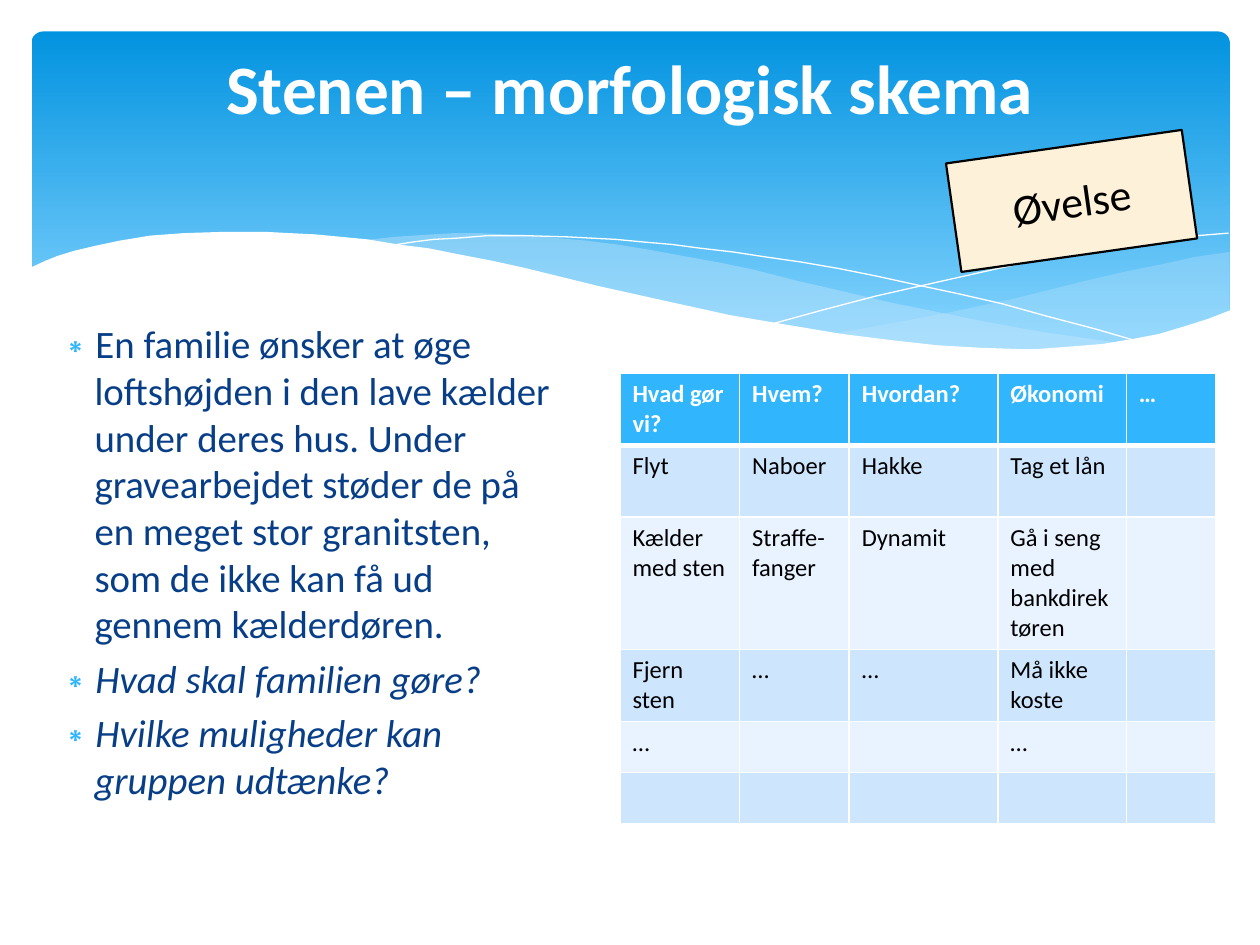
from dataclasses import dataclass

from lxml.etree import SubElement
from pptx import Presentation
from pptx.dml.color import RGBColor
from pptx.enum.shapes import MSO_SHAPE
from pptx.enum.text import MSO_ANCHOR, MSO_AUTO_SIZE, PP_ALIGN
from pptx.oxml.ns import qn
from pptx.util import Inches, Pt


@dataclass(frozen=True)
class Theme:
    font: str = "Calibri"
    white: str = "FFFFFF"
    black: str = "000000"
    navy: str = "073E87"
    accent: str = "31B6FD"
    sky_top: str = "0293E0"
    sky_bottom: str = "83D3FE"
    wave: str = "C6E7FC"
    cream: str = "FDF2D9"
    bands: tuple = ("CEE5FE", "E8F3FF")
    title_size: float = 39.6
    body_size: float = 22.2
    table_size: float = 14
    badge_size: float = 25


RIGHT_WAVE = [
    (9.75, 2), (9.48, 2.04), (9.21, 2.1), (8.91, 2.16), (8.61, 2.23), (8.05, 2.37),
    (7.53, 2.48), (7.06, 2.57), (6.61, 2.65), (6.91, 2.69), (7.19, 2.72), (7.45, 2.75),
    (7.69, 2.77), (8.03, 2.78), (8.35, 2.77), (8.63, 2.75), (8.89, 2.72), (9.13, 2.67),
    (9.35, 2.62), (9.49, 2.57), (9.63, 2.52), (9.76, 2.47), (9.76, 2),
]
MIDDLE_WAVE = [
    (8.93, 2.73), (8.66, 2.69), (8.37, 2.65), (8.07, 2.6), (7.75, 2.54), (7.41, 2.47),
    (7.06, 2.4), (6.68, 2.31), (6.29, 2.22), (5.98, 2.14), (5.69, 2.08), (5.41, 2.03),
    (5.14, 1.98), (4.89, 1.94), (4.65, 1.91), (4.42, 1.89), (4.2, 1.87), (3.99, 1.86),
    (3.8, 1.85), (3.61, 1.85), (3.44, 1.86), (3.13, 1.88), (2.86, 1.91), (3.23, 1.96),
    (3.62, 2.03), (4.04, 2.11), (4.49, 2.22), (4.91, 2.32), (5.3, 2.4), (5.66, 2.48),
    (6.01, 2.55), (6.34, 2.61), (6.65, 2.66), (6.95, 2.7), (7.22, 2.74), (7.48, 2.76),
    (7.73, 2.77), (7.96, 2.78), (8.28, 2.78), (8.57, 2.77), (8.76, 2.75),
]
FALLING_LINE = [
    (3.09, 1.95), (3.28, 1.92), (3.44, 1.9), (3.63, 1.89), (3.87, 1.87), (4.16, 1.87),
    (4.5, 1.88), (4.89, 1.9), (5.1, 1.92), (5.33, 1.94), (5.56, 1.97), (5.82, 2),
    (6.08, 2.04), (6.36, 2.08), (6.65, 2.13), (6.95, 2.19), (7.27, 2.26), (7.6, 2.33),
    (7.95, 2.41), (8.31, 2.51), (8.69, 2.61), (9.07, 2.72),
]
RISING_LINE = [
    (6.13, 2.57), (6.53, 2.46), (6.95, 2.35), (7.48, 2.23), (8.06, 2.1), (8.36, 2.04),
    (8.66, 1.99), (8.95, 1.94), (9.24, 1.9), (9.51, 1.87), (9.75, 1.85),
]
FRONT_WAVE = [
    (9.77, 2.46), (9.59, 2.53), (9.4, 2.59), (9.2, 2.65), (8.99, 2.69), (8.75, 2.73),
    (8.5, 2.75), (8.23, 2.77), (8.09, 2.77), (7.78, 2.76), (7.44, 2.74), (7.08, 2.7),
    (6.68, 2.65), (6.26, 2.58), (5.79, 2.5), (5.29, 2.39), (4.75, 2.27), (4.18, 2.13),
    (3.91, 2.07), (3.65, 2.02), (3.4, 1.97), (3.16, 1.94), (2.92, 1.9), (2.71, 1.88),
    (2.5, 1.86), (2.3, 1.85), (2.11, 1.84), (1.77, 1.84), (1.46, 1.85), (1.19, 1.87),
    (0.95, 1.91), (0.76, 1.95), (0.59, 1.99), (0.46, 2.03), (0.36, 2.07), (0.23, 2.13),
    (0.23, 3.29), (9.77, 3.29),
]

COLUMN_WIDTHS = [0.95, 0.87, 1.18, 1.02, 0.71]
ROW_HEIGHTS = [0.57, 0.57, 1.05, 0.57, 0.4, 0.4]
SCHEME = [
    ["Hvad gør vi?", "Hvem?", "Hvordan?", "Økonomi", "…"],
    ["Flyt", "Naboer", "Hakke", "Tag et lån", ""],
    ["Kælder med sten", "Straffe-fanger", "Dynamit", "Gå i seng med bankdirektøren", ""],
    ["Fjern sten", "…", "…", "Må ikke koste", ""],
    ["…", "", "", "…", ""],
    [""] * 5,
]
BULLETS = [
    ("En familie ønsker at øge loftshøjden i den lave kælder under deres hus. "
     "Under gravearbejdet støder de på en meget stor granitsten, som de ikke kan få ud "
     "gennem kælderdøren.", False),
    ("Hvad skal familien gøre?", True),
    ("Hvilke muligheder kan gruppen udtænke?", True),
]


def color(value):
    return RGBColor.from_string(value)


class SlideBuilder:
    def __init__(self, page, theme):
        self.page = page
        self.theme = theme

    def span(self, para, text, size, shade, bold=False, italic=False):
        span = para.add_run()
        span.text = text
        font = span.font
        font.name, font.size = self.theme.font, Pt(size)
        font.bold, font.italic = bold, italic
        font.color.rgb = color(shade)

    def sky(self, left, top, width, height):
        box = self.page.shapes.add_shape(
            MSO_SHAPE.ROUNDED_RECTANGLE, Inches(left), Inches(top), Inches(width), Inches(height))
        box.adjustments[0] = 0.034
        box.shadow.inherit = False
        box.line.fill.background()
        box.fill.gradient()
        box.fill.gradient_angle = 270
        shades = [(0, self.theme.sky_top), (0.9, self.theme.sky_bottom)]
        for stop, (position, shade) in zip(box.fill.gradient_stops, shades):
            stop.position = position
            stop.color.rgb = color(shade)

    def outline(self, points, closed):
        start, *rest = [(round(x * 100), round(y * 100)) for x, y in points]
        builder = self.page.shapes.build_freeform(*start, scale=Inches(0.01))
        builder.add_line_segments(rest, close=closed)
        shape = builder.convert_to_shape()
        shape.shadow.inherit = False
        return shape

    def wave(self, points, shade, opacity=100):
        shape = self.outline(points, True)
        shape.line.fill.background()
        shape.fill.solid()
        shape.fill.fore_color.rgb = color(shade)
        if opacity < 100:
            solid = shape.element.spPr.find(qn("a:solidFill"))
            SubElement(solid[0], qn("a:alpha"), val=str(opacity * 1000))

    def hairline(self, points):
        shape = self.outline(points, False)
        shape.fill.background()
        shape.line.color.rgb = color(self.theme.white)
        shape.line.width = Pt(0)

    def place(self, box, left, top, width, height, anchor):
        """Move a placeholder into position and in front of the backdrop."""
        box.left, box.top = Inches(left), Inches(top)
        box.width, box.height = Inches(width), Inches(height)
        box.element.getparent().append(box.element)
        frame = box.text_frame
        frame.word_wrap = True
        frame.auto_size = MSO_AUTO_SIZE.NONE
        frame.vertical_anchor = anchor
        return frame

    def title(self, text):
        frame = self.place(self.page.shapes.title, 0.5, 0.37, 9, 1.37, MSO_ANCHOR.MIDDLE)
        para = frame.paragraphs[0]
        para.alignment = PP_ALIGN.CENTER
        self.span(para, text, self.theme.title_size, self.theme.white, bold=True)
        para.add_line_break()

    def bullets(self, items):
        frame = self.place(self.page.placeholders[1], 0.35, 2.49, 4.18, 4.13, MSO_ANCHOR.TOP)
        for index, (text, italic) in enumerate(items):
            para = frame.add_paragraph() if index else frame.paragraphs[0]
            settings = para._p.get_or_add_pPr()
            settings.set("marL", str(Inches(0.3)))
            settings.set("indent", str(-Inches(0.3)))
            shade = SubElement(settings, qn("a:buClr"))
            SubElement(shade, qn("a:srgbClr"), val=self.theme.accent)
            SubElement(settings, qn("a:buChar"), char="∗")
            para.space_before = Pt(4.5 if index else 0)
            self.span(para, text, self.theme.body_size, self.theme.navy, italic=italic)

    def borders(self, cell, top, bottom):
        settings = cell._tc.get_or_add_tcPr()
        for side, width in (("L", 1), ("R", 1), ("T", top), ("B", bottom)):
            line = SubElement(settings, qn(f"a:ln{side}"), w=str(Pt(width)))
            solid = SubElement(line, qn("a:solidFill"))
            SubElement(solid, qn("a:srgbClr"), val=self.theme.white)

    def table(self, rows, left, top, widths, heights):
        table = self.page.shapes.add_table(
            len(rows), len(widths), Inches(left), Inches(top),
            Inches(sum(widths)), Inches(sum(heights))).table
        for column, width in zip(table.columns, widths):
            column.width = Inches(width)
        for row, height in zip(table.rows, heights):
            row.height = Inches(height)
        for index, texts in enumerate(rows):
            header = index == 0
            fill = self.theme.accent if header else self.theme.bands[(index - 1) % 2]
            shade = self.theme.white if header else self.theme.black
            for column, text in enumerate(texts):
                cell = table.cell(index, column)
                self.borders(cell, 3 if index == 1 else 1, 3 if header else 1)
                cell.fill.solid()
                cell.fill.fore_color.rgb = color(fill)
                if text:
                    self.span(cell.text_frame.paragraphs[0], text,
                              self.theme.table_size, shade, bold=header)

    def badge(self, text, left, top, width, height, rotation):
        box = self.page.shapes.add_shape(
            MSO_SHAPE.RECTANGLE, Inches(left), Inches(top), Inches(width), Inches(height))
        box.rotation = rotation
        box.shadow.inherit = False
        box.fill.solid()
        box.fill.fore_color.rgb = color(self.theme.cream)
        box.line.color.rgb = color(self.theme.black)
        box.line.width = Pt(1.25)
        box.text_frame.vertical_anchor = MSO_ANCHOR.MIDDLE
        para = box.text_frame.paragraphs[0]
        para.alignment = PP_ALIGN.CENTER
        self.span(para, text, self.theme.badge_size, self.theme.black)


def main():
    deck = Presentation()
    deck.slide_width, deck.slide_height = Inches(10), Inches(7.5)
    theme = Theme()
    slide = SlideBuilder(deck.slides.add_slide(deck.slide_layouts[1]), theme)
    slide.sky(0.25, 0.25, 9.51, 2.7)
    slide.wave(RIGHT_WAVE, theme.wave, 29)
    slide.wave(MIDDLE_WAVE, theme.wave, 40)
    slide.hairline(FALLING_LINE)
    slide.hairline(RISING_LINE)
    slide.wave(FRONT_WAVE, theme.white)
    slide.title("Stenen – morfologisk skema")
    slide.bullets(BULLETS)
    slide.table(SCHEME, 4.92, 2.96, COLUMN_WIDTHS, ROW_HEIGHTS)
    slide.badge("Øvelse", 7.56, 1.16, 1.89, 0.87, 351.9)
    deck.save("out.pptx")


if __name__ == "__main__":
    main()
